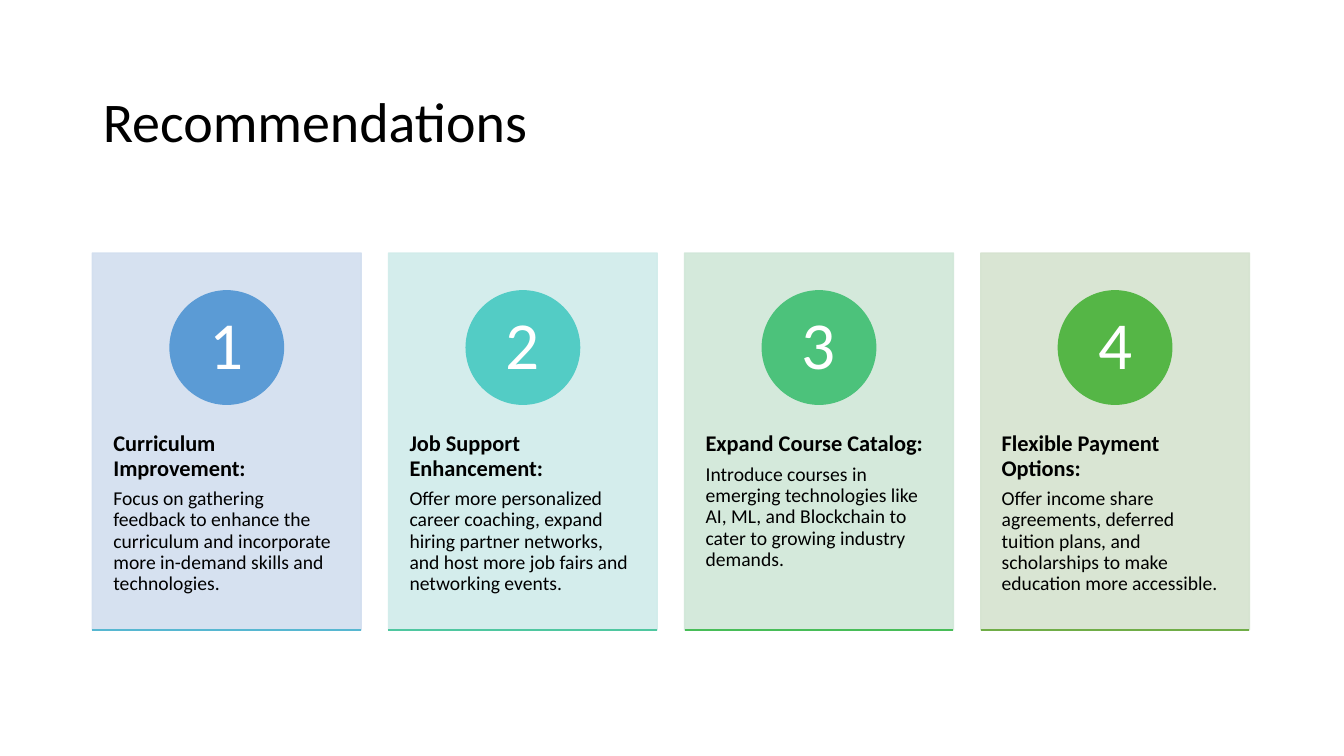
import pptx
import pptx.dml.color
import pptx.enum.shapes
import pptx.enum.text
import pptx.oxml
import pptx.oxml.ns
import pptx.util

EMU_PER_PX = 9525
ALIGN = pptx.enum.text.PP_ALIGN
ANCHOR = pptx.enum.text.MSO_ANCHOR
SHAPE = pptx.enum.shapes.MSO_SHAPE


def px(length):
    return pptx.util.Emu(length * EMU_PER_PX)


def color(hex_string):
    return pptx.dml.color.RGBColor.from_string(hex_string)


def set_opacity(fill_parent, percent):
    for rgb in fill_parent.iter(pptx.oxml.ns.qn("a:srgbClr")):
        alpha = rgb.makeelement(pptx.oxml.ns.qn("a:alpha"), {"val": str(percent * 1000)})
        rgb.append(alpha)


class SlideBuilder:
    font_name = "Calibri"
    line_spacing = 0.9

    def __init__(self, presentation):
        self.slide = presentation.slides.add_slide(presentation.slide_layouts[5])

    def fill_frame(self, frame, paragraphs, align, anchor, margins):
        """Each paragraph is (text, size, bold, hex color, space after)."""
        frame.word_wrap = True
        frame.auto_size = pptx.enum.text.MSO_AUTO_SIZE.NONE
        frame.vertical_anchor = anchor
        frame.margin_left = frame.margin_right = px(margins[0])
        frame.margin_top = frame.margin_bottom = px(margins[1])
        for index, (text, size, bold, text_color, space_after) in enumerate(paragraphs):
            paragraph = frame.add_paragraph() if index else frame.paragraphs[0]
            paragraph.alignment = align
            paragraph.line_spacing = self.line_spacing
            paragraph.space_before = pptx.util.Pt(0)
            paragraph.space_after = pptx.util.Pt(space_after)
            run = paragraph.add_run()
            run.text = text
            run.font.name = self.font_name
            run.font.size = pptx.util.Pt(size)
            run.font.bold = bold
            run.font.color.rgb = color(text_color)

    def title(self, text, left, top, width, height):
        shape = self.slide.shapes.title
        shape.left, shape.top = px(left), px(top)
        shape.width, shape.height = px(width), px(height)
        self.fill_frame(shape.text_frame, [(text, 40, False, "000000", 0)],
                        ALIGN.LEFT, ANCHOR.MIDDLE, (10, 5))

    def text(self, paragraphs, left, top, width, height,
             align=ALIGN.LEFT, anchor=ANCHOR.TOP, margins=(20, 35)):
        box = self.slide.shapes.add_textbox(px(left), px(top), px(width), px(height))
        self.fill_frame(box.text_frame, paragraphs, align, anchor, margins)

    def shape(self, kind, fill, left, top, width, height, opacity=100):
        shape = self.slide.shapes.add_shape(kind, px(left), px(top), px(width), px(height))
        shape.shadow.inherit = False
        shape.fill.solid()
        shape.fill.fore_color.rgb = color(fill)
        shape.line.color.rgb = color(fill)
        shape.line.width = pptx.util.Pt(1)
        if opacity < 100:
            set_opacity(shape.element.spPr, opacity)

    def rule(self, line_color, left, top, width):
        connector = self.slide.shapes.add_connector(
            pptx.enum.shapes.MSO_CONNECTOR.STRAIGHT,
            px(left), px(top), px(left + width), px(top))
        connector.line.color.rgb = color(line_color)
        connector.line.width = pptx.util.Pt(1)
        properties = connector.element.spPr
        properties.append(properties.makeelement(pptx.oxml.ns.qn("a:effectLst"), {}))


# Heading, body, card color, circle color, base line color
RECOMMENDATIONS = [
    ("Curriculum Improvement:",
     "Focus on gathering feedback to enhance the curriculum and incorporate "
     "more in-demand skills and technologies.",
     "D2DEEF", "5B9BD5", "57B7D1"),
    ("Job Support Enhancement:",
     "Offer more personalized career coaching, expand hiring partner networks, "
     "and host more job fairs and networking events.",
     "D0ECEA", "53CCC5", "4FC7A0"),
    ("Expand Course Catalog:",
     "Introduce courses in emerging technologies like AI, ML, and Blockchain "
     "to cater to growing industry demands.",
     "D0E7D8", "4CC27B", "48BD58"),
    ("Flexible Payment Options:",
     "Offer income share agreements, deferred tuition plans, and scholarships "
     "to make education more accessible.",
     "D5E3CF", "55B646", "70AD47"),
]
MARGIN, CONTENT_WIDTH = 88, 1104
CARD_TOP, CARD_WIDTH, CARD_HEIGHT = 241, 256, 359
CARD_STEP = (CONTENT_WIDTH - CARD_WIDTH) // (len(RECOMMENDATIONS) - 1)
CIRCLE_TOP, CIRCLE_SIZE = 277, 108


def main():
    presentation = pptx.Presentation()
    presentation.slide_width, presentation.slide_height = px(1280), px(720)
    builder = SlideBuilder(presentation)
    builder.title("Recommendations", MARGIN, 59, CONTENT_WIDTH, 119)

    for index, (heading, body, card, circle, base) in enumerate(RECOMMENDATIONS):
        left = MARGIN + index * CARD_STEP
        # Card with heading and body
        builder.shape(SHAPE.RECTANGLE, card, left, CARD_TOP, CARD_WIDTH, CARD_HEIGHT, 90)
        builder.text([(heading, 16, True, "000000", 5.6), (body, 14, False, "000000", 4.9)],
                     left, 377, CARD_WIDTH, 216)
        # Numbered circle
        circle_left = left + (CARD_WIDTH - CIRCLE_SIZE) // 2
        builder.shape(SHAPE.OVAL, circle, circle_left, CIRCLE_TOP, CIRCLE_SIZE, CIRCLE_SIZE)
        builder.text([(str(index + 1), 48, False, "FFFFFF", 0)],
                     circle_left + 16, CIRCLE_TOP + 16, CIRCLE_SIZE - 32, CIRCLE_SIZE - 32,
                     ALIGN.CENTER, ANCHOR.MIDDLE, (9, 1))
        # Base line
        builder.rule(base, left, CARD_TOP + CARD_HEIGHT, CARD_WIDTH)

    presentation.save("out.pptx")


if __name__ == "__main__":
    main()
